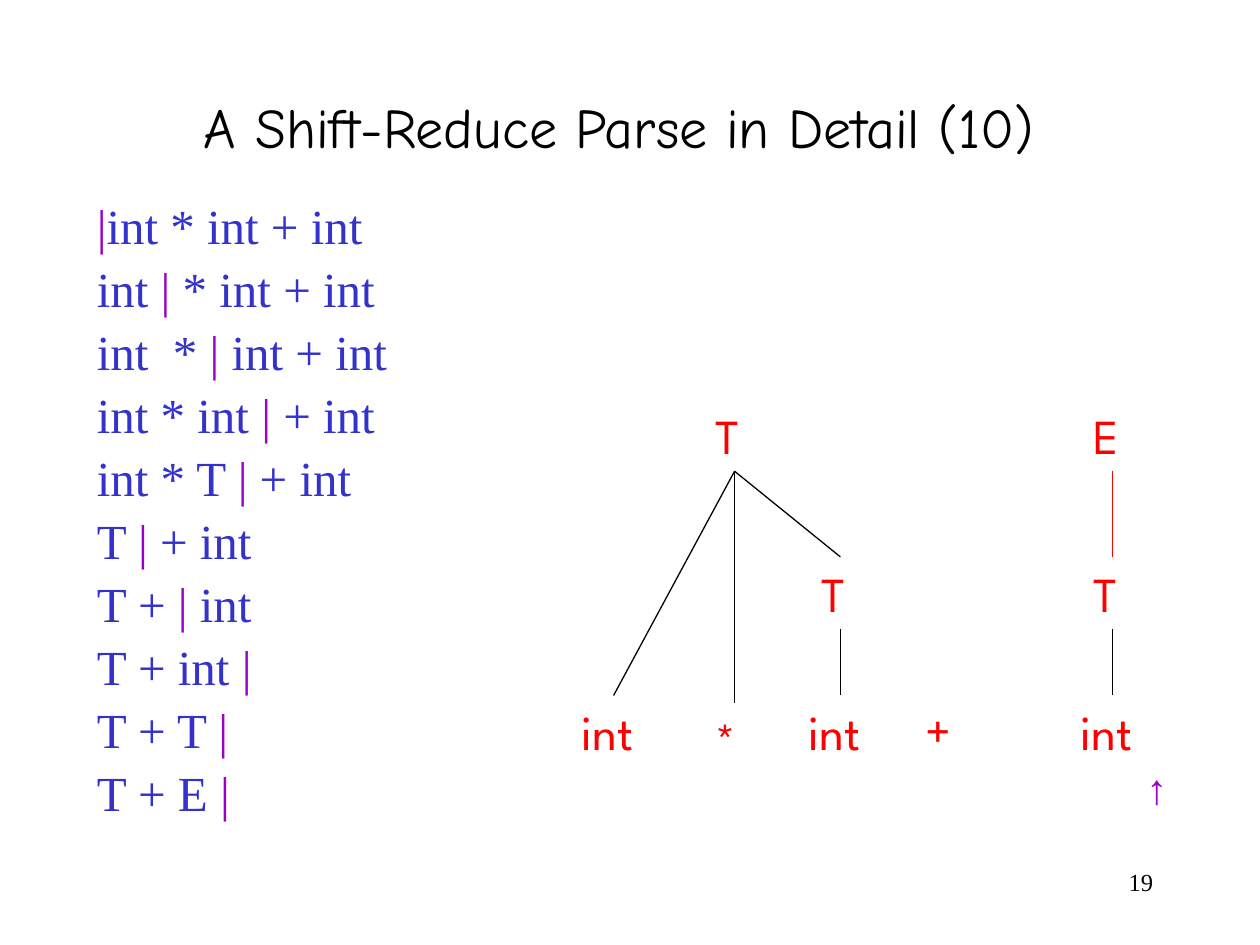
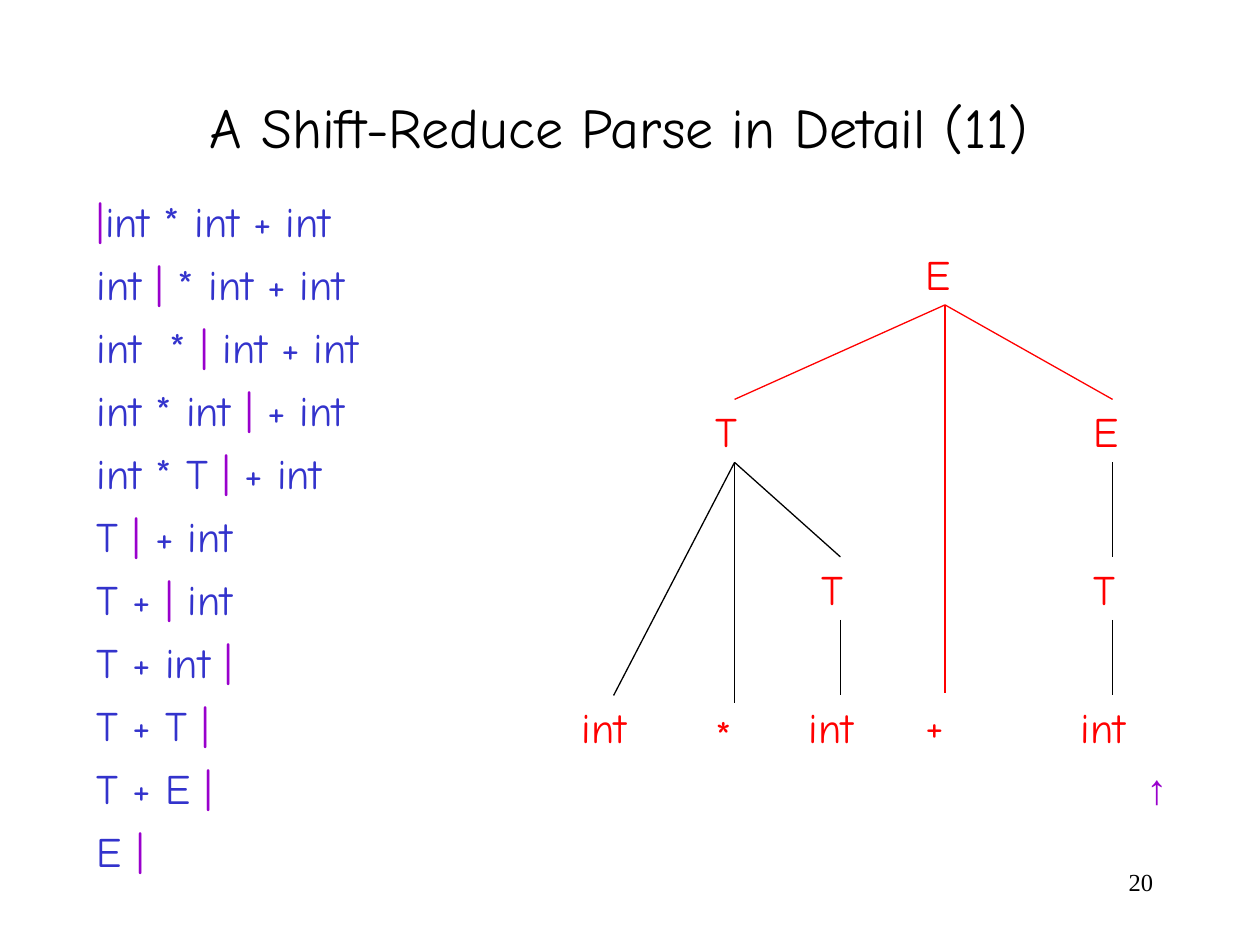
from pptx import Presentation
from pptx.dml.color import RGBColor
from pptx.enum.shapes import MSO_CONNECTOR
from pptx.enum.text import MSO_ANCHOR, PP_ALIGN
from pptx.oxml.ns import qn
from pptx.util import Inches, Pt
from lxml import etree

# Content: "|" marks the place of the parser in each step
STEPS = [
    "|int * int + int",
    "int | * int + int",
    "int  * | int + int",
    "int * int | + int",
    "int * T | + int",
    "T | + int",
    "T + | int",
    "T + int |",
    "T + T |",
    "T + E |",
    "E |",
]

# Tree nodes: name -> (label, column, row, nudge down)
NODES = {
    "mul": ("T", 1, 1, 0),
    "fac": ("T", 2, 2, 0),
    "exp": ("E", 4, 1, 0),
    "term": ("T", 4, 2, 0),
    "int1": ("int", 0, 3, 0),
    "star": ("*", 1, 3, 0.06),
    "int2": ("int", 2, 3, 0),
    "plus": ("+", 3, 3, -0.02),
    "int3": ("int", 4, 3, 0),
}
EDGES = [("mul", "int1"), ("mul", "star"), ("mul", "fac"),
         ("fac", "int2"), ("exp", "term"), ("term", "int3")]
ROOT = {"root": ("E", 3, 0, 0)}
TOP = [("root", "mul"), ("root", "plus"), ("root", "exp")]

SLIDES = [
    dict(title="A Shift-Reduce Parse in Detail (10)", page="19",
         steps=STEPS[:-1], nodes=NODES, edges=EDGES, new=[("exp", "term")],
         size=28, face="Times New Roman", leaf="League Spartan", high=0.57),
    dict(title="A Shift-Reduce Parse in Detail (11)", page="20",
         steps=STEPS, nodes=NODES | ROOT, edges=EDGES + TOP, new=TOP,
         size=24, face="Comic Neue", leaf="Comic Neue", high=0.5),
]

# Shared look and grid, in inches
HEX = {"ink": "000000", "step": "3333CC", "bar": "9900CC", "tree": "FF0000"}
COLS = [4.87, 5.83, 6.67, 7.5, 8.83]
ROWS = [1.92, 3.17, 4.42, 5.52]
WIDE = {"int": 0.7}
LEFT, FIRST, PITCH = 0.67, 1.5, 0.5


def tint(name):
    return RGBColor.from_string(HEX[name])


def write(slide, box, runs, face, size, align=PP_ALIGN.LEFT,
          anchor=MSO_ANCHOR.TOP):
    """Add a text box; runs are (text, colour name) pairs."""
    shape = slide.shapes.add_textbox(*map(Inches, box))
    frame = shape.text_frame
    frame.word_wrap = True
    frame.vertical_anchor = anchor
    para = frame.paragraphs[0]
    para.alignment = align
    para.font.name, para.font.size = face, Pt(size)
    for text, hue in runs:
        run = para.add_run()
        run.text = text
        run.font.color.rgb = tint(hue)
    return shape


def link(slide, top, low, hue):
    """Join the bottom of one node to the top of another."""
    line = slide.shapes.add_connector(MSO_CONNECTOR.STRAIGHT, 0, 0, 0, 0)
    line.begin_connect(top, 2)
    line.end_connect(low, 0)
    line.line.color.rgb = tint(hue)
    line.line.width = Pt(0.75)
    etree.SubElement(line._element.spPr, qn("a:effectLst"))


def tree(slide, data):
    made = {}
    for name, (text, col, row, nudge) in data["nodes"].items():
        wide = WIDE.get(text, 0.5)
        box = (COLS[col] - wide / 2, ROWS[row] + nudge, wide, data["high"])
        made[name] = write(slide, box, [(text, "tree")],
                           data["leaf"], data["size"])
    for edge in data["edges"]:
        top, low = edge
        hue = "tree" if edge in data["new"] else "ink"
        link(slide, made[top], made[low], hue)


def steps(slide, data):
    for i, step in enumerate(data["steps"]):
        pre, bar, post = step.partition("|")
        runs = [(pre, "step"), (bar, "bar"), (post, "step")]
        write(slide, (LEFT, FIRST + i * PITCH, 3.25, PITCH),
              [run for run in runs if run[0]], data["face"], data["size"])


def main():
    deck = Presentation()
    deck.slide_width, deck.slide_height = Inches(10), Inches(7.5)
    for data in SLIDES:
        slide = deck.slides.add_slide(deck.slide_layouts[6])
        # Title and page number
        write(slide, (0.5, 0.5, 8.83, 1), [(data["title"], "ink")],
              "Comic Neue", 32, PP_ALIGN.CENTER, MSO_ANCHOR.MIDDLE)
        write(slide, (7.17, 6.83, 2.08, 0.5), [(data["page"], "ink")],
              "Times New Roman", 14, PP_ALIGN.RIGHT)
        # Parse steps, tree and input pointer
        steps(slide, data)
        tree(slide, data)
        write(slide, (9, 6, 0.58, 0.5), [("↑", "bar")], "Arial", 24)
    deck.save("out.pptx")


if __name__ == "__main__":
    main()
